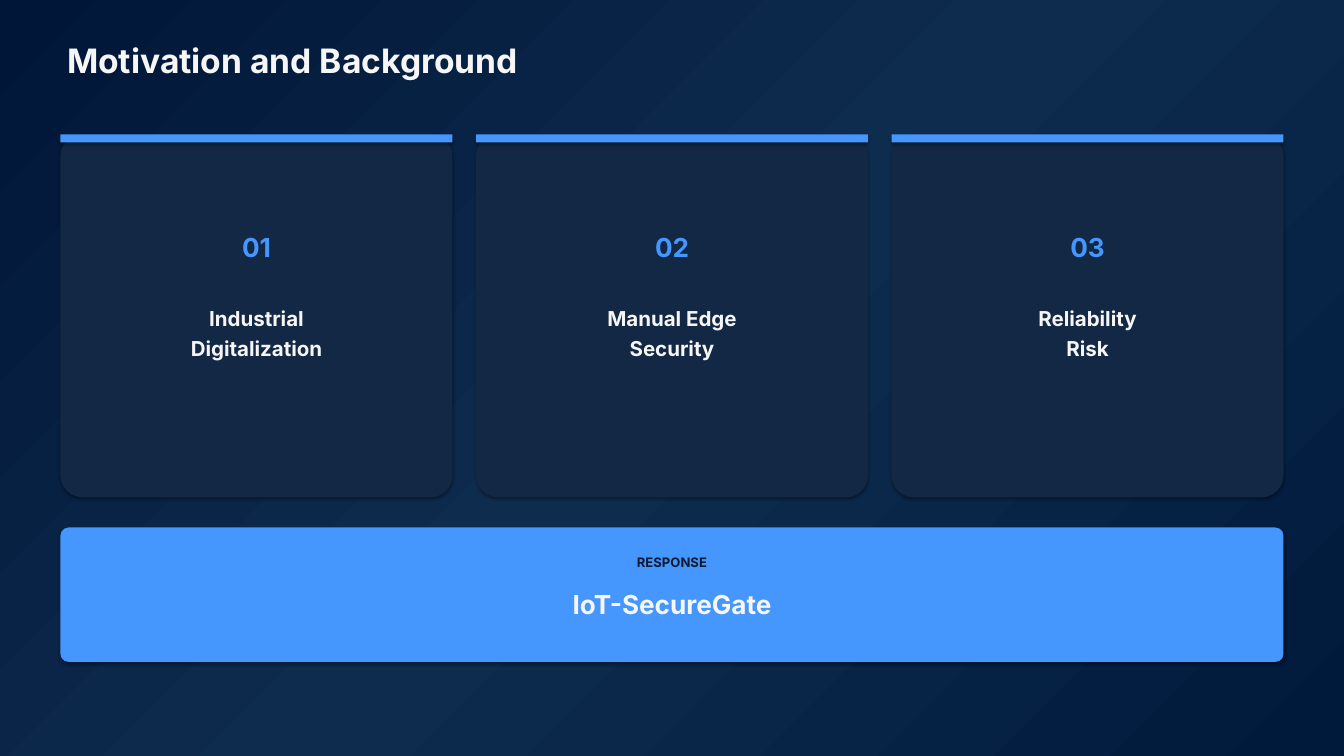
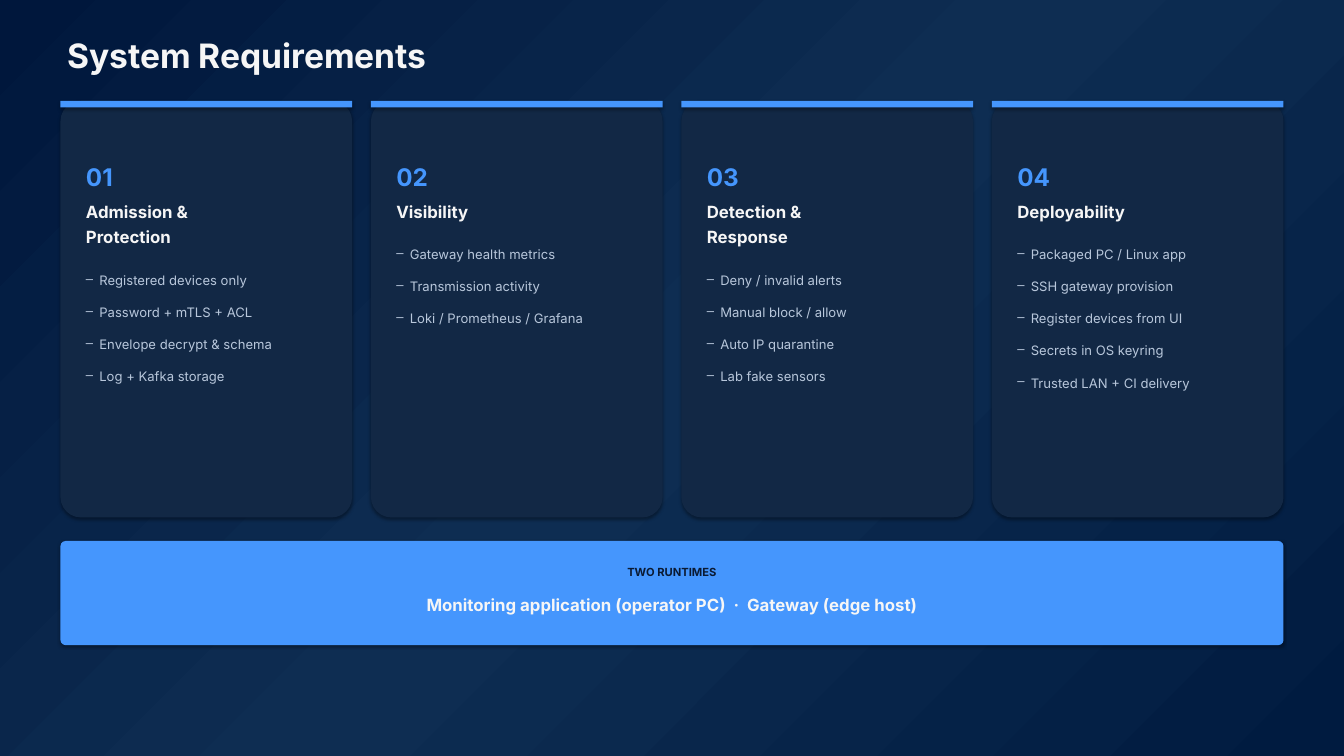
from copy import deepcopy

from lxml import etree
from pptx import Presentation
from pptx import util as u
from pptx.dml import color
from pptx.enum import shapes, text
from pptx.oxml import ns

COLORS = {
    "accent": "4596FD",
    "card": "122845",
    "light": "F6F6F6",
    "muted": "B8C7DB",
    "dark": "0A1A33",
}
FONT = "Inter"
MARGIN, CONTENT_W = 0.9, 18.2
TOP, MIDDLE = text.MSO_ANCHOR.TOP, text.MSO_ANCHOR.MIDDLE
LEFT, CENTER = text.PP_ALIGN.LEFT, text.PP_ALIGN.CENTER

MOTIVES = [
    ["Industrial", "Digitalization"],
    ["Manual Edge", "Security"],
    ["Reliability", "Risk"],
]
REQUIREMENTS = [
    (["Admission &", "Protection"],
     ["Registered devices only", "Password + mTLS + ACL",
      "Envelope decrypt & schema", "Log + Kafka storage"]),
    (["Visibility"],
     ["Gateway health metrics", "Transmission activity",
      "Loki / Prometheus / Grafana"]),
    (["Detection &", "Response"],
     ["Deny / invalid alerts", "Manual block / allow",
      "Auto IP quarantine", "Lab fake sensors"]),
    (["Deployability"],
     ["Packaged PC / Linux app", "SSH gateway provision",
      "Register devices from UI", "Secrets in OS keyring",
      "Trusted LAN + CI delivery"]),
]


def rgb(value):
    return color.RGBColor.from_string(value)


def add_background(s, stops):
    fill = s.background.fill
    fill.gradient()
    fill.gradient_angle = 315
    gs_list = s.element.find(".//" + ns.qn("a:gsLst"))
    gs_list.insert(1, deepcopy(gs_list[0]))
    for stop, value, position in zip(fill.gradient_stops, stops, (0, 0.5, 1)):
        stop.color.rgb = rgb(value)
        stop.position = position


def add_box(s, kind, box, fill, radius=None):
    sp = s.shapes.add_shape(kind, *map(u.Inches, box))
    sp.fill.solid()
    sp.fill.fore_color.rgb = rgb(COLORS[fill])
    sp.line.fill.background()
    if radius is not None:
        sp.adjustments[0] = radius


def add_dash(p):
    pPr = p._p.get_or_add_pPr()
    pPr.set("marL", str(u.Inches(0.2)))
    pPr.set("indent", str(-u.Inches(0.2)))
    etree.SubElement(pPr, ns.qn("a:buChar")).set("char", "–")


def add_text(s, box, lines, size, fill, bold=True, align=LEFT, anchor=TOP,
             gap=0, dashed=False):
    tf = s.shapes.add_textbox(*map(u.Inches, box)).text_frame
    tf.word_wrap = True
    tf.auto_size = text.MSO_AUTO_SIZE.SHAPE_TO_FIT_TEXT
    tf.vertical_anchor = anchor
    tf.text = "\n".join(lines)
    for p in tf.paragraphs:
        p.alignment = align
        p.space_after = u.Pt(gap)
        if dashed:
            add_dash(p)
        for r in p.runs:
            r.font.name = FONT
            r.font.size = u.Pt(size)
            r.font.bold = bold
            r.font.color.rgb = rgb(COLORS[fill])


def add_title(s, title, top, height, anchor):
    add_text(s, (MARGIN, top, CONTENT_W, height), [title], 36, "light",
             anchor=anchor)


def card_boxes(count, top, height, gap):
    width = (CONTENT_W - gap * (count - 1)) / count
    return [(MARGIN + i * (width + gap), top, width, height)
            for i in range(count)]


def add_card(s, box, radius, bar_height):
    x, y, w, h = box
    add_box(s, shapes.MSO_SHAPE.ROUNDED_RECTANGLE, box, "card", radius)
    add_box(s, shapes.MSO_SHAPE.RECTANGLE, (x, y, w, bar_height), "accent")


def add_motive_card(s, box, number, heading):
    x, y, w, h = box
    add_card(s, box, 0.06, 0.12)
    add_text(s, (x + 0.4, y + 1.4, w - 0.8, 0.7), [number], 28, "accent",
             align=CENTER)
    add_text(s, (x + 0.35, y + 2.5, w - 0.7, 1.6), heading, 22, "light",
             align=CENTER, gap=6)


def add_requirement_card(s, box, number, heading, items):
    x, y, w, h = box
    left, width = x + 0.28, w - 0.56
    heading_h = 0.38 * len(heading)
    add_card(s, box, 0.07, 0.1)
    add_text(s, (left, y + 0.9, width, 0.45), [number], 26, "accent",
             anchor=MIDDLE)
    add_text(s, (left, y + 1.45, width, heading_h), heading, 18, "light",
             gap=5.6)
    add_text(s, (left, y + 1.74 + heading_h, width, 0.48 * len(items)), items,
             14, "muted", bold=False, gap=17.6, dashed=True)


def add_banner(s, box, radius, caption, message, anchor):
    x, y, w, h = box
    add_box(s, shapes.MSO_SHAPE.ROUNDED_RECTANGLE, box, "accent", radius)
    for (line, size, dy, height), fill in zip((caption, message),
                                              ("dark", "light")):
        add_text(s, (x, y + dy, w, height), [line], size, fill,
                 align=CENTER, anchor=anchor)


def build_motivation(s):
    add_background(s, ("001638", "0E2C4E", "001A3C"))
    add_title(s, "Motivation and Background", 0.55, 0.9, TOP)
    boxes = card_boxes(len(MOTIVES), 2, 5.4, 0.35)
    for i, (box, heading) in enumerate(zip(boxes, MOTIVES), 1):
        add_motive_card(s, box, f"{i:02}", heading)
    add_banner(s, (MARGIN, 7.85, CONTENT_W, 2), 0.06,
               ("RESPONSE", 14, 0.35, 0.4),
               ("IoT-SecureGate", 28, 0.85, 0.7), TOP)


def build_requirements(s):
    add_background(s, ("00173C", "0E2D52", "001B40"))
    add_title(s, "System Requirements", 0.45, 0.75, MIDDLE)
    boxes = card_boxes(len(REQUIREMENTS), 1.5, 6.2, 0.28)
    for i, (box, (heading, items)) in enumerate(zip(boxes, REQUIREMENTS), 1):
        add_requirement_card(s, box, f"{i:02}", heading, items)
    add_banner(s, (MARGIN, 8.05, CONTENT_W, 1.55), 0.05,
               ("TWO RUNTIMES", 12, 0.28, 0.35),
               ("Monitoring application (operator PC)  ·  Gateway (edge host)",
                18, 0.7, 0.5), MIDDLE)


def main():
    prs = Presentation()
    prs.slide_width, prs.slide_height = u.Inches(20), u.Inches(11.25)
    for build in (build_motivation, build_requirements):
        build(prs.slides.add_slide(prs.slide_layouts[6]))
    prs.save("out.pptx")


if __name__ == "__main__":
    main()
